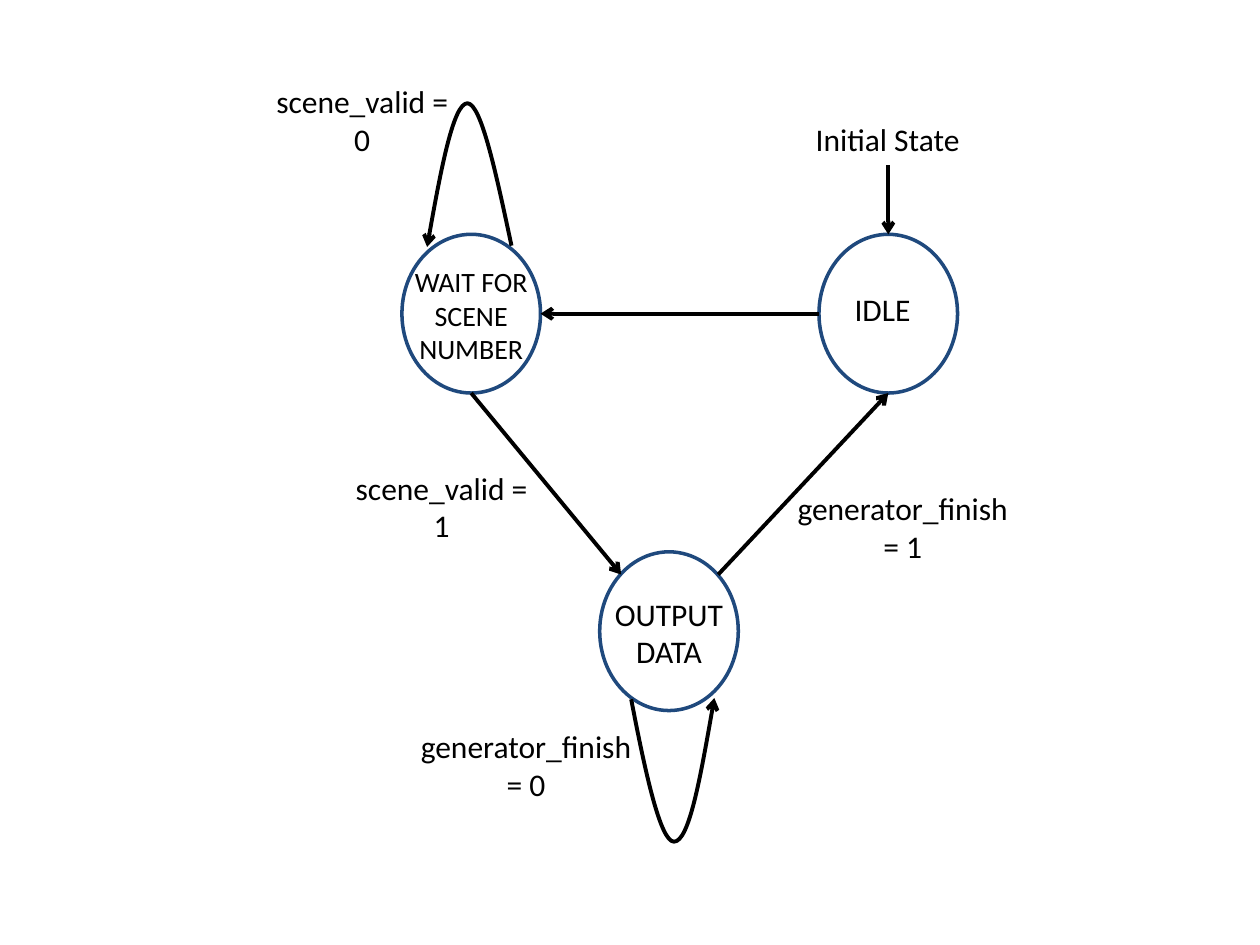
from dataclasses import dataclass

from lxml.etree import SubElement
from pptx import Presentation
from pptx.dml.color import RGBColor
from pptx.dml.line import LineFormat
from pptx.enum.shapes import MSO_CONNECTOR, MSO_SHAPE
from pptx.enum.text import MSO_AUTO_SIZE, PP_ALIGN
from pptx.oxml.ns import qn
from pptx.slide import Slide
from pptx.util import Inches, Pt

Point = tuple[float, float]
BLACK = "000000"
NAVY = "1F497D"
STATE_WIDTH, STATE_HEIGHT = 1.1, 1.26


@dataclass
class State:
    left: float
    top: float


@dataclass
class Label:
    text: str
    left: float
    top: float
    width: float
    height: float = 0.71
    size: int = 18


@dataclass
class Arrow:
    start: Point
    end: Point


@dataclass
class Loop:
    points: list[Point]


def color(value: str) -> RGBColor:
    return RGBColor.from_string(value)


def style_line(line: LineFormat, value: str, width: float) -> None:
    line.color.rgb = color(value)
    line.width = Pt(width)


def add_arrowhead(line: LineFormat) -> None:
    style_line(line, BLACK, 2.25)
    SubElement(line._get_or_add_ln(), qn("a:tailEnd"), type="arrow")


def draw_state(page: Slide, state: State) -> None:
    circle = page.shapes.add_shape(
        MSO_SHAPE.OVAL, Inches(state.left), Inches(state.top),
        Inches(STATE_WIDTH), Inches(STATE_HEIGHT))
    circle.shadow.inherit = False
    circle.fill.background()
    style_line(circle.line, NAVY, 2)


def draw_label(page: Slide, label: Label) -> None:
    box = page.shapes.add_textbox(
        Inches(label.left), Inches(label.top),
        Inches(label.width), Inches(label.height))
    frame = box.text_frame
    frame.word_wrap = True
    frame.auto_size = MSO_AUTO_SIZE.SHAPE_TO_FIT_TEXT
    para = frame.paragraphs[0]
    para.alignment = PP_ALIGN.CENTER
    span = para.add_run()
    span.text = label.text
    span.font.name = "Calibri"
    span.font.size = Pt(label.size)
    span.font.color.rgb = color(BLACK)


def draw_arrow(page: Slide, arrow: Arrow) -> None:
    connector = page.shapes.add_connector(
        MSO_CONNECTOR.STRAIGHT,
        *(Inches(value) for value in arrow.start + arrow.end))
    add_arrowhead(connector.line)
    SubElement(connector._element.spPr, qn("a:effectLst"))


def draw_loop(page: Slide, loop: Loop) -> None:
    start, *others = [(Inches(x), Inches(y)) for x, y in loop.points]
    builder = page.shapes.build_freeform(*start)
    builder.add_line_segments(others, close=False)
    curve = builder.convert_to_shape()
    outline = curve._element.find(".//" + qn("a:path"))
    segments = outline.findall(qn("a:lnTo"))
    for first in range(0, len(segments), 3):
        bezier = SubElement(outline, qn("a:cubicBezTo"))
        for segment in segments[first:first + 3]:
            bezier.append(segment[0])
            outline.remove(segment)
    curve.shadow.inherit = False
    curve.fill.background()
    add_arrowhead(curve.line)


WAIT = State(3.19, 1.86)
OUTPUT = State(4.76, 4.38)
IDLE = State(6.5, 1.86)
STATES = [WAIT, OUTPUT, IDLE]

ARROWS = [
    Arrow((5.7, 4.56), (7.05, 3.12)),
    Arrow((3.74, 3.12), (4.93, 4.56)),
    Arrow((6.5, 2.49), (4.29, 2.49)),
    Arrow((7.05, 1.31), (7.05, 1.86)),
]

LOOPS = [
    Loop([(4.06, 1.95), (3.94, 1.39), (3.82, 0.82), (3.71, 0.82),
          (3.6, 0.82), (3.49, 1.39), (3.39, 1.96)]),
    Loop([(5.01, 5.55), (5.12, 6.12), (5.24, 6.68), (5.35, 6.68),
          (5.47, 6.68), (5.57, 6.11), (5.67, 5.54)]),
]

LABELS = [
    Label("WAIT FOR SCENE NUMBER", WAIT.left, 2.05, STATE_WIDTH, 0.91, 16),
    Label("OUTPUT DATA", OUTPUT.left, 4.67, STATE_WIDTH),
    Label("IDLE", 6.57, 2.25, 0.87, 0.4),
    Label("scene_valid = 1", 2.64, 3.67, 1.73),
    Label("scene_valid = 0", 2.01, 0.6, 1.73),
    Label("generator_finish = 1", 6.18, 3.83, 1.97),
    Label("generator_finish = 0", 3.19, 5.72, 1.97),
    Label("Initial State", 6.18, 0.9, 1.73, 0.4),
]

deck = Presentation()
deck.slide_width = Inches(10)
deck.slide_height = Inches(7.5)
page = deck.slides.add_slide(deck.slide_layouts[6])

for state in STATES:
    draw_state(page, state)
for arrow in ARROWS:
    draw_arrow(page, arrow)
for loop in LOOPS:
    draw_loop(page, loop)
for label in LABELS:
    draw_label(page, label)

deck.save("out.pptx")
